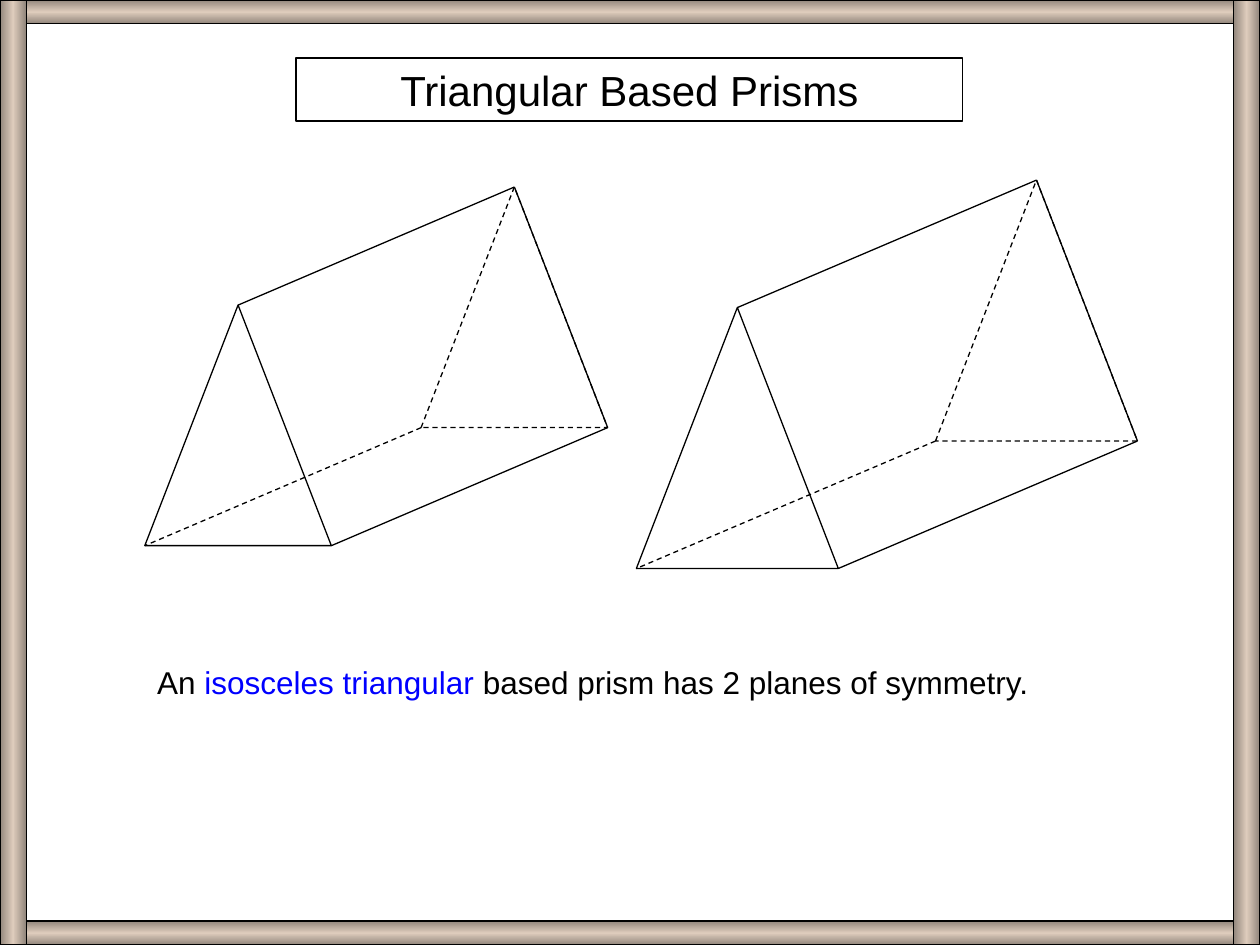
from copy import deepcopy
from pptx import Presentation
from pptx.dml.color import RGBColor
from pptx.enum.dml import MSO_LINE as Dash
from pptx.enum.shapes import MSO_CONNECTOR as Link, MSO_SHAPE as Shape
from pptx.enum.text import MSO_ANCHOR as Anchor, PP_ALIGN as Align
from pptx.oxml.ns import qn
from pptx.util import Cm, Pt
from lxml import etree

WIDE, HIGH = 25.4, 19.05
BLACK, BLUE = "000000", "0000FF"
DARK, LIGHT = "92867C", "DECCBC"


def color(code):
    return RGBColor.from_string(code)


def outline(item, dashed=False):
    item.line.color.rgb = color(BLACK)
    item.line.width = Pt(0.75)
    if dashed:
        item.line.dash_style = Dash.DASH


def shape(slide, kind, x, y, w, h, dashed=False):
    """Add an unfilled, outlined shape."""
    item = slide.shapes.add_shape(kind, Cm(x), Cm(y), Cm(w), Cm(h))
    item.shadow.inherit = False
    item.fill.background()
    outline(item, dashed)
    return item


def edge(slide, start, end, dashed=False):
    points = [Cm(v) for v in (*start, *end)]
    item = slide.shapes.add_connector(Link.STRAIGHT, *points)
    outline(item, dashed)
    etree.SubElement(item._element.spPr, qn("a:effectLst"))


def write(item, runs, size=18, align=Align.LEFT):
    """Fill a shape with one paragraph of (text, colour) runs."""
    frame = item.text_frame
    frame.word_wrap = True
    frame.vertical_anchor = Anchor.MIDDLE
    para = frame.paragraphs[0]
    para.alignment = align
    for text, code in runs:
        run = para.add_run()
        run.text = text
        run.font.name = "Arial"
        run.font.size = Pt(size)
        run.font.color.rgb = color(code)


def prism(slide, x, y, w, h, dx, dy):
    """Draw a prism whose back face is dx right of and dy above its front."""
    shape(slide, Shape.ISOSCELES_TRIANGLE, x, y, w, h)
    shape(slide, Shape.ISOSCELES_TRIANGLE, x + dx, y - dy, w, h, dashed=True)
    apex, left, right = (x + w / 2, y), (x, y + h), (x + w, y + h)
    for corner in (apex, left, right):
        back = (corner[0] + dx, corner[1] - dy)
        edge(slide, back, corner, dashed=corner == left)
    edge(slide, (apex[0] + dx, apex[1] - dy), (right[0] + dx, right[1] - dy))


def bar(slide, x, y, w, h):
    """Add a frame bar, shaded across its short side."""
    fill = shape(slide, Shape.RECTANGLE, x, y, w, h).fill
    fill.gradient()
    fill.gradient_angle = 90 if w > h else 0
    last = slide.shapes[-1]._element.spPr.findall(".//" + qn("a:gs"))[-1]
    last.addprevious(deepcopy(last))
    stops = zip(fill.gradient_stops, (0, 0.5, 1), (DARK, LIGHT, DARK))
    for stop, place, code in stops:
        stop.position = place
        stop.color.rgb = color(code)


def border(slide, rail=0.48, post=0.53):
    for y in (0, HIGH - rail):
        bar(slide, 0, y, WIDE, rail)
    for x in (0, WIDE - post):
        bar(slide, x, 0, post, HIGH)


def main():
    deck = Presentation()
    deck.slide_width, deck.slide_height = Cm(WIDE), Cm(HIGH)
    slide = deck.slides.add_slide(deck.slide_layouts[6])

    prism(slide, 2.92, 6.15, 3.76, 4.85, 5.57, 2.38)
    title = shape(slide, Shape.RECTANGLE, 5.97, 1.17, 13.44, 1.27)
    write(title, [("Triangular Based Prisms", BLACK)], size=24,
          align=Align.CENTER)
    note = slide.shapes.add_textbox(Cm(2.92), Cm(13.23), Cm(19.79), Cm(1.02))
    write(note, [("An ", BLACK), ("isosceles triangular", BLUE),
                 (" based prism has 2 planes of symmetry.", BLACK)])
    border(slide)
    prism(slide, 12.83, 6.2, 4.07, 5.26, 6.03, 2.57)

    deck.save("out.pptx")


if __name__ == "__main__":
    main()
